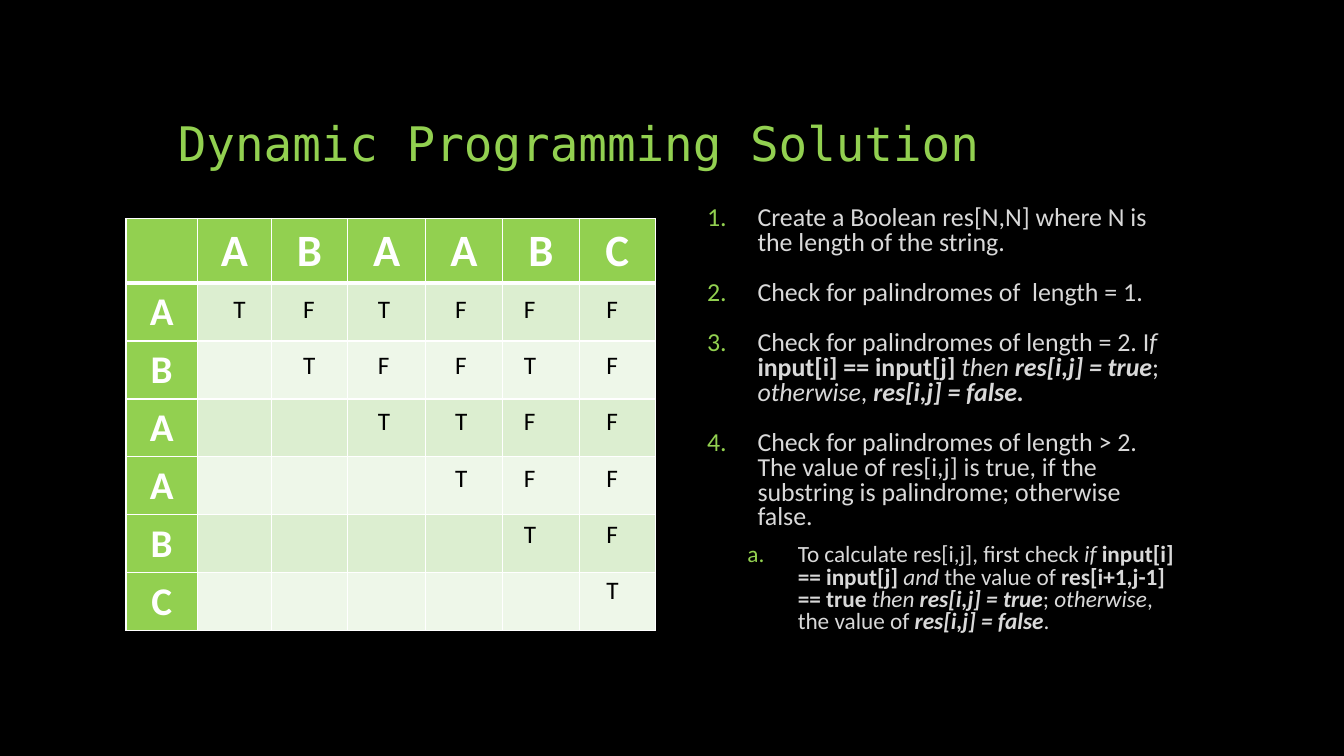
from lxml import etree
from pptx import Presentation
from pptx import util as u
from pptx.dml.color import RGBColor
from pptx.enum import text
from pptx.oxml import ns

COLS, ROWS = 16, 9
UNIT = u.Inches(7.5) // ROWS
GREEN, WHITE, BLACK, GREY = "92D050", "FFFFFF", "000000", "D9D9D9"
BANDS = ["DCEED0", "EEF7E9"]
LETTERS = "ABAABC"
RESULTS = ["TFTFFF", "TFFTF", "TTFF", "TFF", "TF", "T"]
COL_WIDTHS = [0.85, 0.88, 0.91, 0.93, 0.91, 0.92, 0.9]
HEAD_HEIGHT, ROW_HEIGHT = 0.77, 0.69
MARK_LEFTS = [2.66, 3.49, 4.38, 5.3, 6.12, 7.1]
MARK_TOP, MARK_STEP = 3.43, 0.67

STEPS = [
    [("Create a Boolean res[N,N] where N is the length of the string.", "")],
    [("Check for palindromes of  length = 1.", "")],
    [("Check for palindromes of length = 2. I", ""), ("f ", "i"),
     ("input[i] == input[j] ", "b"), ("then ", "i"), ("res[i,j] = true", "bi"),
     ("; ", ""), ("otherwise", "i"), (", ", ""), ("res[i,j] = false.", "bi")],
    [("Check for palindromes of length > 2. The value of res[i,j] is true, "
      "if the substring is palindrome; otherwise false.", "")],
]
SUBSTEP = [
    ("To calculate res[i,j], first check ", ""), ("if ", "i"),
    ("input[i] == input[j] ", "b"), ("and", "i"), (" the value of ", ""),
    ("res[i+1,j-1] == true ", "b"), ("then ", "i"), ("res[i,j] = true", "bi"),
    ("; ", ""), ("otherwise", "i"), (", the value of ", ""),
    ("res[i,j] = false", "bi"), (".", ""),
]


def rgb(value):
    return RGBColor.from_string(value)


def grid(*lengths):
    return [u.Emu(round(n * UNIT)) for n in lengths]


def style(r, size, color, font="Calibri", marks=""):
    r.font.size, r.font.name = u.Pt(size), font
    r.font.color.rgb = rgb(color)
    r.font.bold, r.font.italic = "b" in marks, "i" in marks


def add_text(s, box, content, size, color, font="Calibri", wrap=True):
    tf = s.shapes.add_textbox(*grid(*box)).text_frame
    tf.word_wrap = wrap
    tf.text = content
    if content:
        style(tf.paragraphs[0].runs[0], size, color, font)
    return tf


def add_border(cell, side, width):
    pr = cell._tc.get_or_add_tcPr()
    ln = etree.Element(ns.qn("a:ln" + side), w=str(u.Pt(width)))
    fill = etree.SubElement(ln, ns.qn("a:solidFill"))
    etree.SubElement(fill, ns.qn("a:srgbClr"), val=WHITE)
    pr.insert("LRTB".index(side), ln)


def fill_cell(cell, row, col):
    header = row == 0 or col == 0
    cell.fill.solid()
    cell.fill.fore_color.rgb = rgb(GREEN if header else BANDS[(row - 1) % 2])
    for side in "LRTB":
        heavy = (row, side) in [(0, "B"), (1, "T")]
        add_border(cell, side, 3 if heavy else 1)
    if header and row + col:
        cell.text = LETTERS[row + col - 1]
        p = cell.text_frame.paragraphs[0]
        p.alignment = text.PP_ALIGN.CENTER
        style(p.runs[0], 32 if row == 0 else 28, WHITE, marks="b")


def add_matrix(s):
    n = len(COL_WIDTHS)
    height = HEAD_HEIGHT + ROW_HEIGHT * (n - 1)
    box = grid(1.5, 2.6, sum(COL_WIDTHS), height)
    table = s.shapes.add_table(n, n, *box).table
    for i, width in enumerate(COL_WIDTHS):
        table.columns[i].width, table.rows[i].height = grid(
            width, ROW_HEIGHT if i else HEAD_HEIGHT)
        for j in range(n):
            fill_cell(table.cell(i, j), i, j)


def add_marks(s):
    for i, marks in enumerate(RESULTS):
        for left, mark in zip(MARK_LEFTS[i:], marks):
            box = (left, MARK_TOP + i * MARK_STEP, 0.4, 0.48)
            add_text(s, box, mark, 18, BLACK, wrap=False)


def number(p, kind, indent):
    pr = p._p.get_or_add_pPr()
    pr.set("marL", str(u.Inches(indent)))
    pr.set("indent", str(u.Inches(-0.5)))
    color = etree.SubElement(pr, ns.qn("a:buClr"))
    etree.SubElement(color, ns.qn("a:srgbClr"), val=GREEN)
    etree.SubElement(pr, ns.qn("a:buFont"), typeface="+mj-lt")
    etree.SubElement(pr, ns.qn("a:buAutoNum"), type=kind)


def add_step(p, parts, size, before, kind, indent):
    p.line_spacing, p.space_before = 0.8, u.Pt(before)
    number(p, kind, indent)
    for content, marks in parts:
        r = p.add_run()
        r.text = content
        style(r, size, GREY, marks=marks)


def add_steps(s):
    tf = add_text(s, (8.3, 2.4, 5.8, 5.76), "", 18.5, GREY)
    for i, parts in enumerate(STEPS):
        p = tf.add_paragraph() if i else tf.paragraphs[0]
        add_step(p, parts, 18.5, 18, "arabicPeriod", 0.5)
    p = tf.add_paragraph()
    p.level = 1
    add_step(p, SUBSTEP, 16.6, 10, "alphaLcPeriod", 0.9)


def main():
    prs = Presentation()
    prs.slide_width, prs.slide_height = grid(COLS, ROWS)
    s = prs.slides.add_slide(prs.slide_layouts[6])
    s.background.fill.solid()
    s.background.fill.fore_color.rgb = rgb(BLACK)
    title = add_text(s, (2, 0.6, 12, 1.5), "Dynamic Programming Solution",
                     34, GREEN, "DejaVu Sans Mono")
    title.vertical_anchor = text.MSO_ANCHOR.BOTTOM
    title.paragraphs[0].line_spacing = 0.9
    add_matrix(s)
    add_steps(s)
    add_marks(s)
    prs.save("out.pptx")


if __name__ == "__main__":
    main()
